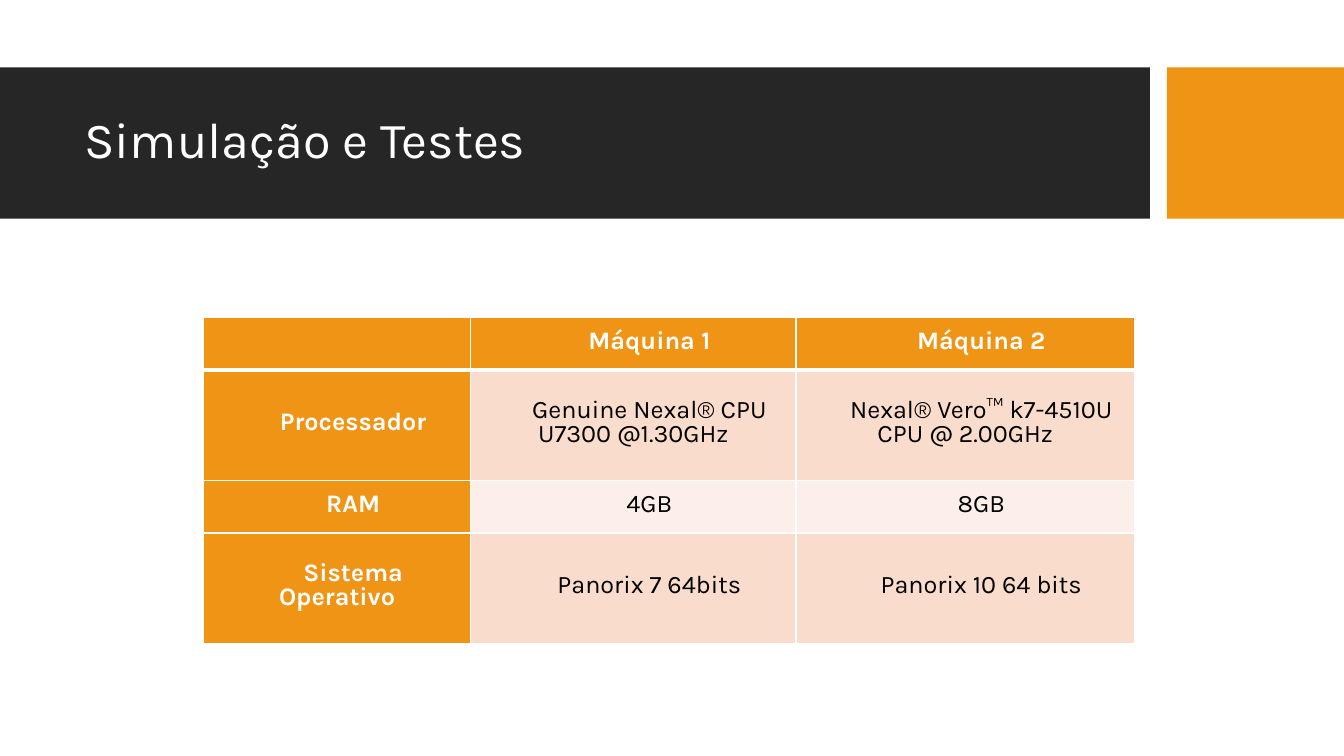
import pptx
import pptx.util
import pptx.dml.color
import pptx.enum.shapes
import pptx.enum.text
from lxml import etree
from pptx.dml.color import RGBColor
from pptx.util import Cm, Pt

TITLE = "Simulação e Testes"
ROWS = [
    ("", "Máquina 1", "Máquina 2"),
    ("Processador", "Genuine Nexal® CPU U7300 @1.30GHz", "Nexal® Vero™ k7-4510U CPU @ 2.00GHz"),
    ("RAM", "4GB", "8GB"),
    ("Sistema Operativo", "Panorix 7 64bits", "Panorix 10 64 bits"),
]
COLUMN_WIDTHS = (6.73, 8.2, 8.53)
ROW_HEIGHTS = (1.32, 2.79, 1.32, 2.79)
TABLE_LEFT, TABLE_TOP = 5.13, 8.0
BAND_TOP, BAND_HEIGHT = 1.7, 3.81

FONT = "Karla"
WHITE = RGBColor(0xFF, 0xFF, 0xFF)
BLACK = RGBColor(0, 0, 0)
CHARCOAL = RGBColor(0x26, 0x26, 0x26)
ORANGE = RGBColor(0xF0, 0x94, 0x15)
PEACH = RGBColor(0xF9, 0xDC, 0xCC)
PALE_PEACH = RGBColor(0xFC, 0xEE, 0xE8)
BANDS = [(0, 28.98, CHARCOAL), (29.41, 4.46, ORANGE)]

DRAWING = "http://schemas.openxmlformats.org/drawingml/2006/main"


def add_band(page, left, width, color):
    band = page.shapes.add_shape(
        pptx.enum.shapes.MSO_SHAPE.RECTANGLE, Cm(left), Cm(BAND_TOP), Cm(width), Cm(BAND_HEIGHT))
    band.shadow.inherit = False
    band.fill.solid()
    band.fill.fore_color.rgb = color
    band.line.fill.background()


def style_text(para, size, color, bold=False):
    para.font.name = FONT
    para.font.size = Pt(size)
    para.font.color.rgb = color
    para.font.bold = bold


def add_title(page):
    box = page.shapes.add_textbox(Cm(1.88), Cm(2.08), Cm(26.7), Cm(3))
    frame = box.text_frame
    frame.word_wrap = True
    frame.vertical_anchor = pptx.enum.text.MSO_ANCHOR.MIDDLE
    para = frame.paragraphs[0]
    para.text = TITLE
    para.line_spacing = 0.9
    style_text(para, 36, WHITE)


def set_borders(cell, row):
    """White rules, thicker between the header and the first data row."""
    widths = {"lnL": 1, "lnR": 1, "lnT": 3 if row == 1 else 1, "lnB": 3 if row == 0 else 1}
    properties = cell._tc.get_or_add_tcPr()
    for tag, width in widths.items():
        line = etree.SubElement(properties, f"{{{DRAWING}}}{tag}", w=str(Pt(width)))
        fill = etree.SubElement(line, f"{{{DRAWING}}}solidFill")
        etree.SubElement(fill, f"{{{DRAWING}}}srgbClr", val=str(WHITE))


def fill_cell(cell, text, row, column):
    heading = row == 0 or column == 0
    set_borders(cell, row)
    cell.fill.solid()
    cell.fill.fore_color.rgb = ORANGE if heading else PEACH if row % 2 else PALE_PEACH
    cell.vertical_anchor = pptx.enum.text.MSO_ANCHOR.MIDDLE
    cell.margin_left = cell.margin_right = Cm(0.18)
    cell.margin_top = cell.margin_bottom = 0
    para = cell.text_frame.paragraphs[0]
    para.text = text
    para.alignment = pptx.enum.text.PP_ALIGN.CENTER
    para.line_spacing = Pt(17)
    para._p.get_or_add_pPr().set("indent", str(Cm(0.81)))
    style_text(para, 18, WHITE if heading else BLACK, heading)


def add_machine_table(page):
    table = page.shapes.add_table(
        len(ROWS), len(COLUMN_WIDTHS), Cm(TABLE_LEFT), Cm(TABLE_TOP),
        Cm(sum(COLUMN_WIDTHS)), Cm(sum(ROW_HEIGHTS))).table
    for column, width in zip(table.columns, COLUMN_WIDTHS):
        column.width = Cm(width)
    for row, height in zip(table.rows, ROW_HEIGHTS):
        row.height = Cm(height)
    for r, texts in enumerate(ROWS):
        for c, text in enumerate(texts):
            fill_cell(table.cell(r, c), text, r, c)


def main():
    deck = pptx.Presentation()
    deck.slide_width, deck.slide_height = Cm(33.87), Cm(19.05)
    page = deck.slides.add_slide(deck.slide_layouts[6])
    for left, width, color in BANDS:
        add_band(page, left, width, color)
    add_title(page)
    add_machine_table(page)
    deck.save("out.pptx")


if __name__ == "__main__":
    main()
